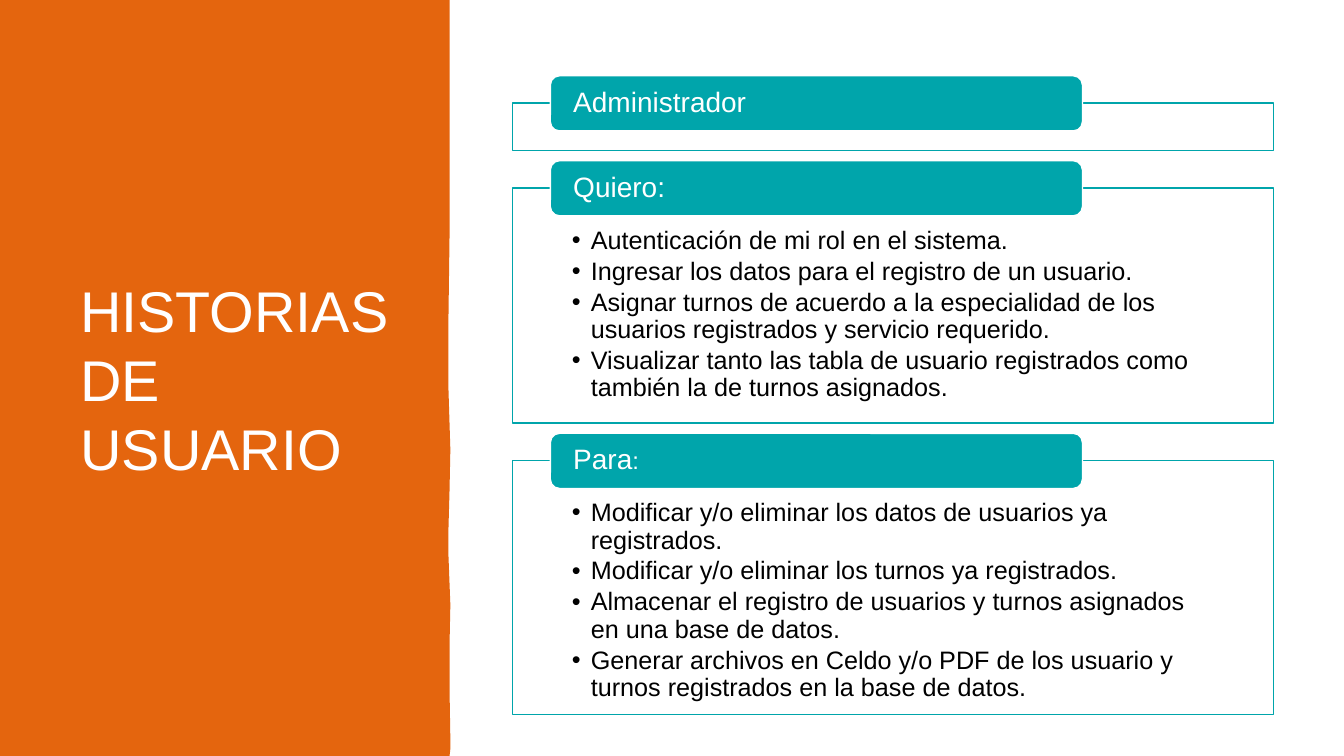
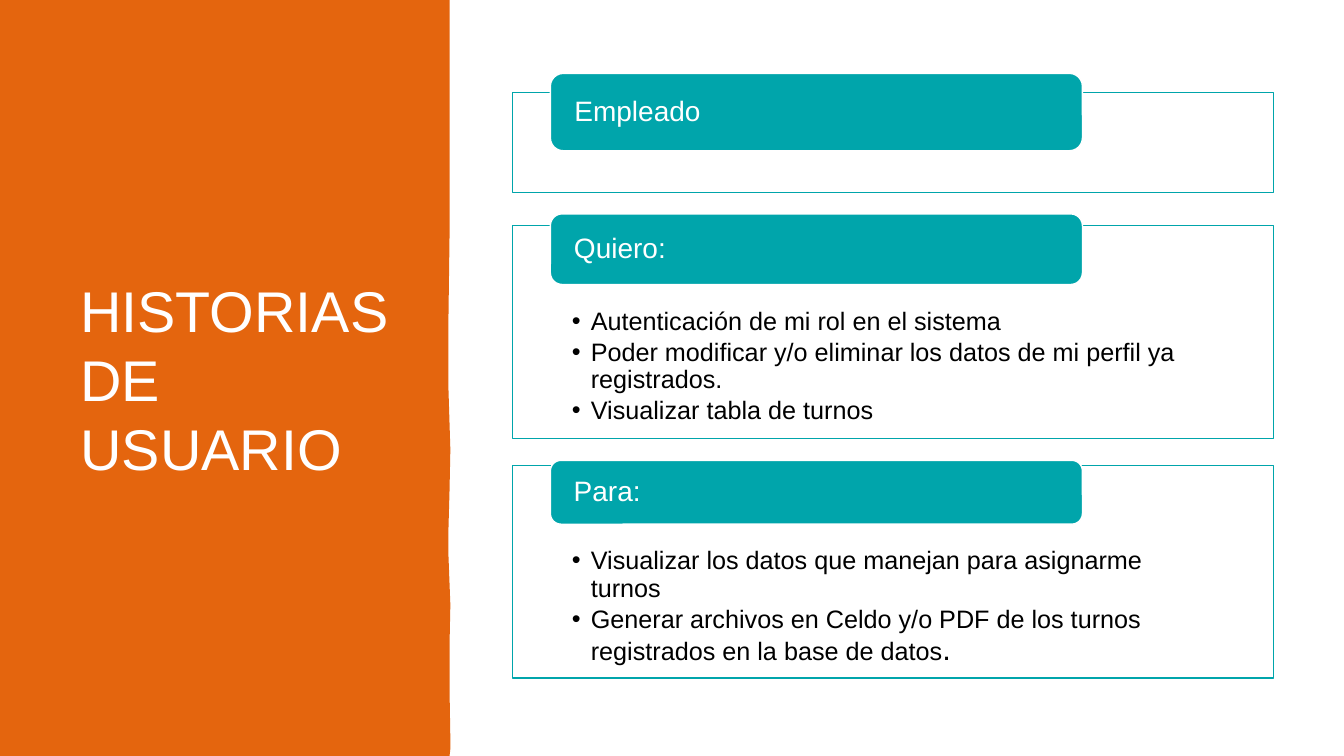
import pptx
import pptx.util
import pptx.dml.color
import pptx.enum.shapes
import pptx.enum.text
import lxml.etree

Cm, Pt = pptx.util.Cm, pptx.util.Pt
SHAPES = pptx.enum.shapes.MSO_SHAPE
ANCHOR = pptx.enum.text.MSO_ANCHOR
ALIGN = pptx.enum.text.PP_ALIGN

# Shared style, lengths in cm
COLORS = {"panel": "E4650E", "teal": "00A5AB", "white": "FFFFFF", "text": "000000"}
FONT = "Arial"
TITLE = "HISTORIAS DE USUARIO"
SLIDE_WIDTH, SLIDE_HEIGHT = 33.87, 19.05
BOX_LEFT, BOX_WIDTH = 12.91, 19.18
TAB_LEFT, TAB_WIDTH = 13.87, 13.41
BULLET_INDENT = 0.48

# Wavy right edge of the panel, from top to bottom
PANEL_EDGE = [
    (11.33, 0), (11.33, 1.6), (11.33, 2.59), (11.33, 3.58), (11.33, 4.42),
    (11.33, 5.92), (11.3, 8.18), (11.3, 9.73), (11.35, 11.33), (11.33, 12.34),
    (11.3, 13.41), (11.3, 13.94), (11.35, 15.24), (11.33, 16.23),
    (11.33, 17.4), (11.35, 18.62), (11.35, 18.87), (11.33, SLIDE_HEIGHT),
]

# Per slide: distance from box top to its text, then the sections.
# Section: label, (box top, height), (tab top, height), items,
# size of the last character of the label and of the last item, if it differs
STORIES = [
    (0.99, [
        ("Administrador", (2.6, 1.19), (1.91, 1.39), [], None, None),
        ("Quiero:", (4.74, 5.92), (4.05, 1.39), [
            "Autenticación de mi rol en el sistema.",
            "Ingresar los datos para el registro de un usuario.",
            "Asignar turnos de acuerdo a la especialidad de los usuarios registrados y servicio requerido.",
            "Visualizar tanto las tabla de usuario registrados como también la de turnos asignados.",
        ], None, None),
        ("Para:", (11.61, 6.4), (10.92, 1.39), [
            "Modificar y/o eliminar los datos de usuarios ya registrados.",
            "Modificar y/o eliminar los turnos ya registrados.",
            "Almacenar el registro de usuarios y turnos asignados en una base de datos.",
            "Generar archivos en Celdo y/o PDF de los usuario y turnos registrados en la base de datos.",
        ], 17, None),
    ]),
    (2.08, [
        ("Empleado", (2.33, 2.52), (1.85, 1.95), [], None, None),
        ("Quiero:", (5.69, 5.36), (5.39, 1.78), [
            "Autenticación de mi rol en el sistema",
            "Poder modificar y/o eliminar los datos de mi perfil ya registrados.",
            "Visualizar tabla de turnos",
        ], None, None),
        ("Para:", (11.73, 5.36), (11.6, 1.61), [
            "Visualizar los datos que manejan para asignarme turnos",
            "Generar archivos en Celdo y/o PDF de los turnos registrados en la base de datos.",
        ], None, 22),
    ]),
]


def write(paragraph, text, size, color, end_size=None):
    paragraph.text = text[:-1] if end_size else text
    if end_size:
        paragraph.add_run().text = text[-1]
    for run in paragraph.runs:
        run.font.name = FONT
        run.font.size = Pt(size)
        run.font.color.rgb = pptx.dml.color.RGBColor.from_string(COLORS[color])
    if end_size:
        paragraph.runs[-1].font.size = Pt(end_size)
    paragraph.alignment = ALIGN.LEFT


def add_block(slide, kind, left, width, span, fill, line, margins):
    top, height = span
    block = slide.shapes.add_shape(kind, Cm(left), Cm(top), Cm(width), Cm(height))
    block.shadow.inherit = False
    block.fill.solid()
    block.fill.fore_color.rgb = pptx.dml.color.RGBColor.from_string(COLORS[fill])
    block.line.color.rgb = pptx.dml.color.RGBColor.from_string(COLORS[line])
    block.line.width = Pt(1)
    frame = block.text_frame
    frame.word_wrap = True
    frame.margin_left = frame.margin_right = Cm(margins[0])
    frame.margin_top, frame.margin_bottom = Cm(margins[1]), Cm(margins[2])
    return frame


deck = pptx.Presentation()
deck.slide_width, deck.slide_height = Cm(SLIDE_WIDTH), Cm(SLIDE_HEIGHT)

for text_top, sections in STORIES:
    slide = deck.slides.add_slide(deck.slide_layouts[5])

    # Title
    title = slide.shapes.title
    title.left, title.top, title.width, title.height = Cm(1.77), Cm(1.78), Cm(8.61), Cm(15.52)
    title.text_frame.word_wrap = True
    title.text_frame.auto_size = pptx.enum.text.MSO_AUTO_SIZE.NONE
    title.text_frame.vertical_anchor = ANCHOR.MIDDLE
    heading = title.text_frame.paragraphs[0]
    write(heading, TITLE, 41, "white")
    heading.line_spacing = 1.0

    # Orange panel, behind the title
    outline = slide.shapes.build_freeform(0, 0)
    outline.add_line_segments([(Cm(x), Cm(y)) for x, y in PANEL_EDGE + [(0, SLIDE_HEIGHT)]])
    panel = outline.convert_to_shape()
    panel.shadow.inherit = False
    panel.fill.solid()
    panel.fill.fore_color.rgb = pptx.dml.color.RGBColor.from_string(COLORS["panel"])
    panel.line.fill.background()
    title.element.addprevious(panel.element)

    for label, box_span, tab_span, items, label_end, item_end in sections:
        # Framed box with its bullets
        box = add_block(slide, SHAPES.RECTANGLE, BOX_LEFT, BOX_WIDTH, box_span,
                        "white", "teal", (1.5, text_top, 0.36))
        box.vertical_anchor = ANCHOR.TOP
        for index, item in enumerate(items):
            bullet = box.add_paragraph() if index else box.paragraphs[0]
            write(bullet, item, 18, "text", item_end if item == items[-1] else None)
            bullet.line_spacing = 0.9
            bullet.space_after = Pt(2.7)
            properties = bullet._p.get_or_add_pPr()
            properties.set("marL", str(Cm(BULLET_INDENT)))
            properties.set("indent", str(-Cm(BULLET_INDENT)))
            for tag, key, value in (("a:buFont", "typeface", FONT), ("a:buChar", "char", "•")):
                mark = lxml.etree.SubElement(properties, pptx.oxml.ns.qn(tag))
                mark.set(key, value)

        # Teal tab with the label
        tab = add_block(slide, SHAPES.ROUNDED_RECTANGLE, TAB_LEFT, TAB_WIDTH, tab_span,
                        "teal", "white", (0.51, 0, 0))
        tab.vertical_anchor = ANCHOR.MIDDLE
        write(tab.paragraphs[0], label, 20, "white", label_end)
        tab.paragraphs[0].line_spacing = 0.9

deck.save("out.pptx")
